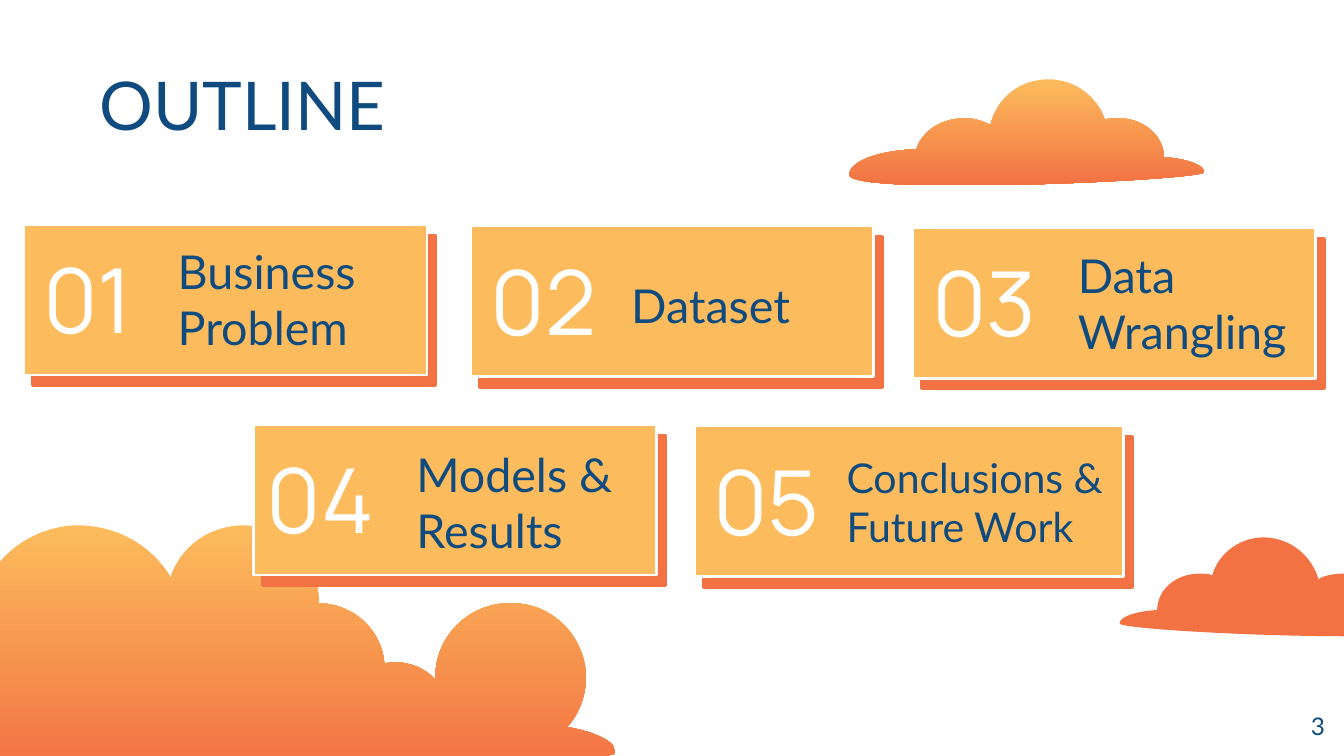
"""Build the outline slide: five numbered cards among sunset clouds."""
import lxml.etree
import pptx
import pptx.dml.color
import pptx.enum.shapes
import pptx.enum.text
import pptx.oxml.ns
import pptx.util
from dataclasses import dataclass

Cm = pptx.util.Cm
Pt = pptx.util.Pt
RGB = pptx.dml.color.RGBColor
qn = pptx.oxml.ns.qn
ALIGN = pptx.enum.text.PP_ALIGN
ANCHOR = pptx.enum.text.MSO_ANCHOR


@dataclass(frozen=True)
class Theme:
    navy: str = "0F4B7E"
    amber: str = "FCBC5D"
    orange: str = "F27243"
    white: str = "FFFFFF"
    text_font: str = "Lato"
    number_font: str = "Manrope"
    title_size: int = 36
    number_size: int = 48
    label_size: int = 25
    small_label_size: int = 22
    page_number_size: int = 13


theme = Theme()


def write_text(box, text, font, size, color, anchor=ANCHOR.MIDDLE, align=ALIGN.LEFT):
    frame = box.text_frame
    frame.text = text
    frame.word_wrap = True
    frame.auto_size = pptx.enum.text.MSO_AUTO_SIZE.NONE
    frame.vertical_anchor = anchor
    frame.margin_left = frame.margin_right = Cm(0.25)
    frame.margin_top = frame.margin_bottom = Cm(0.25)
    para = frame.paragraphs[0]
    para.alignment = align
    span = para.runs[0]
    span.font.name = font
    span.font.size = Pt(size)
    span.font.color.rgb = RGB.from_string(color)


def draw_cloud(page, bottom, start, segments):
    unit = Cm(0.0254)
    ends = [segment[-2:] for segment in segments]
    left = min(x for x, y in [start, *ends])
    top = min(y for x, y in [start, *ends])
    builder = page.shapes.build_freeform(start[0], start[1], scale=unit)
    builder.add_line_segments(ends, close=True)
    cloud = builder.convert_to_shape()
    cloud.height = (bottom - top) * unit
    outline = next(cloud.element.spPr.iter(qn("a:path")))
    outline.set("h", str(bottom - top))
    for line, segment in zip(outline.findall(qn("a:lnTo")), segments):
        if len(segment) == 6:
            curve = lxml.etree.Element(qn("a:cubicBezTo"))
            for x, y in zip(segment[::2], segment[1::2]):
                lxml.etree.SubElement(curve, qn("a:pt"), x=str(x - left), y=str(y - top))
            outline.replace(line, curve)
    cloud.shadow.inherit = False
    cloud.line.fill.background()
    return cloud


deck = pptx.Presentation()
deck.slide_width, deck.slide_height = Cm(25.4), Cm(14.29)
page = deck.slides.add_slide(deck.slide_layouts[5])

title = page.shapes.title
title.left, title.top, title.width, title.height = Cm(1.63), Cm(0.93), Cm(21.41), Cm(2.06)
write_text(title, "OUTLINE", theme.text_font, theme.title_size, theme.navy)

large_cloud = draw_cloud(page, 573, (422, 541), [
    (431, 531, 436, 518, 436, 503), (435, 474, 412, 450, 383, 449),
    (351, 447, 324, 472, 324, 504), (324, 506),
    (317, 498, 306, 493, 295, 493), (292, 493, 289, 493, 286, 494),
    (284, 468, 262, 449, 237, 449), (237, 447),
    (237, 416, 211, 391, 181, 391), (155, 391, 134, 408, 127, 430),
    (113, 406, 86, 390, 55, 391), (16, 393, -16, 425, -19, 463),
    (-20, 474, -19, 485, -16, 494), (-29, 500, -38, 512, -38, 527),
    (-38, 536, -34, 544, -29, 551), (-58, 553, -78, 558, -78, 564),
    (-78, 572, 458, 573, 458, 560), (458, 552, 444, 545, 422, 541),
])
top_cloud = draw_cloud(page, 138, (780, 59), [
    (759, 59, 742, 73, 737, 93), (731, 90, 725, 88, 718, 88),
    (700, 88, 686, 98, 682, 111), (654, 112, 632, 120, 632, 130),
    (632, 136, 668, 138, 713, 138), (791, 138, 896, 132, 896, 128),
    (896, 123, 883, 118, 866, 117), (866, 101, 851, 88, 832, 88),
    (829, 88, 826, 88, 822, 89), (816, 72, 800, 59, 780, 59),
])
right_cloud = draw_cloud(page, 480, (861, 454), [
    (861, 439, 875, 427, 892, 427), (895, 427, 899, 427, 902, 428),
    (907, 411, 924, 399, 942, 400), (961, 401, 976, 414, 981, 431),
    (986, 428, 993, 427, 999, 427), (1015, 427, 1028, 436, 1031, 448),
    (1057, 449, 1078, 457, 1078, 466), (1078, 481, 833, 470, 833, 464),
    (833, 459, 845, 455, 861, 454),
])
for cloud in (large_cloud, top_cloud):
    cloud.fill.gradient()
    cloud.fill.gradient_angle = 270
    for stop, color in zip(cloud.fill.gradient_stops, (theme.amber, theme.orange)):
        stop.color.rgb = RGB.from_string(color)
right_cloud.fill.solid()
right_cloud.fill.fore_color.rgb = RGB.from_string(theme.orange)

cards = [
    ("Business Problem", theme.label_size, (0.45, 4.24, 7.62), 0.57, (3.11, 4.78, 4.83, 1.75)),
    ("Dataset", theme.label_size, (8.89, 4.27, 7.62), 9.02, (11.68, 4.34, 4.83, 2.84)),
    ("Data Wrangling", theme.label_size, (17.25, 4.3, 7.62), 17.37, (20.12, 4.31, 4.83, 2.84)),
    ("Models & Results", theme.label_size, (4.79, 8.02, 7.62), 4.79, (7.62, 8.1, 4.65, 2.77)),
    ("Conclusions & Future Work", theme.small_label_size, (13.13, 8.05, 8.1), 13.23,
     (15.75, 8.1, 5.49, 2.77)),
]
for number, (label, size, (left, top, width), number_left, label_place) in enumerate(cards, 1):
    card = page.shapes.add_shape(
        pptx.enum.shapes.MSO_SHAPE.RECTANGLE, Cm(left), Cm(top), Cm(width), Cm(2.85))
    card.fill.solid()
    card.fill.fore_color.rgb = RGB.from_string(theme.amber)
    card.line.color.rgb = RGB.from_string(theme.white)
    card.line.width = Pt(1.5)
    card.shadow.inherit = False
    effects = card.element.spPr.find(qn("a:effectLst"))
    shadow = lxml.etree.SubElement(
        effects, qn("a:outerShdw"), blurRad="0", dist=str(Pt(7.5)), dir=str(50 * 60000),
        algn="bl", rotWithShape="0")
    lxml.etree.SubElement(shadow, qn("a:srgbClr"), val=theme.orange)

    label_box = page.shapes.add_textbox(*map(Cm, label_place))
    write_text(label_box, label, theme.text_font, size, theme.navy)
    number_box = page.shapes.add_textbox(Cm(number_left), Cm(top - 0.07), Cm(2.82), Cm(2.92))
    write_text(number_box, f"{number:02}", theme.number_font, theme.number_size, theme.white)

page_number = page.shapes.add_textbox(Cm(23.77), Cm(13.2), Cm(1.52), Cm(1.09))
write_text(page_number, "3", theme.text_font, theme.page_number_size, theme.navy,
           ANCHOR.TOP, ALIGN.RIGHT)

deck.save("out.pptx")
